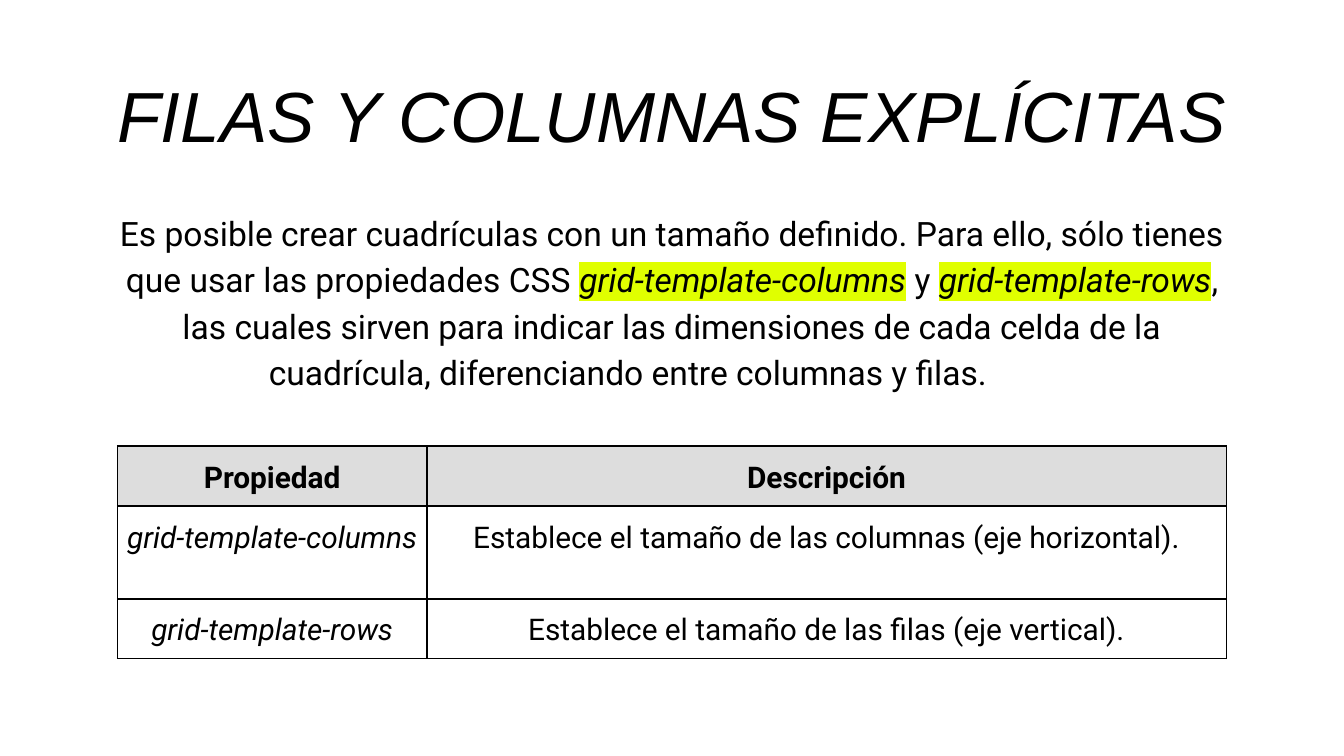
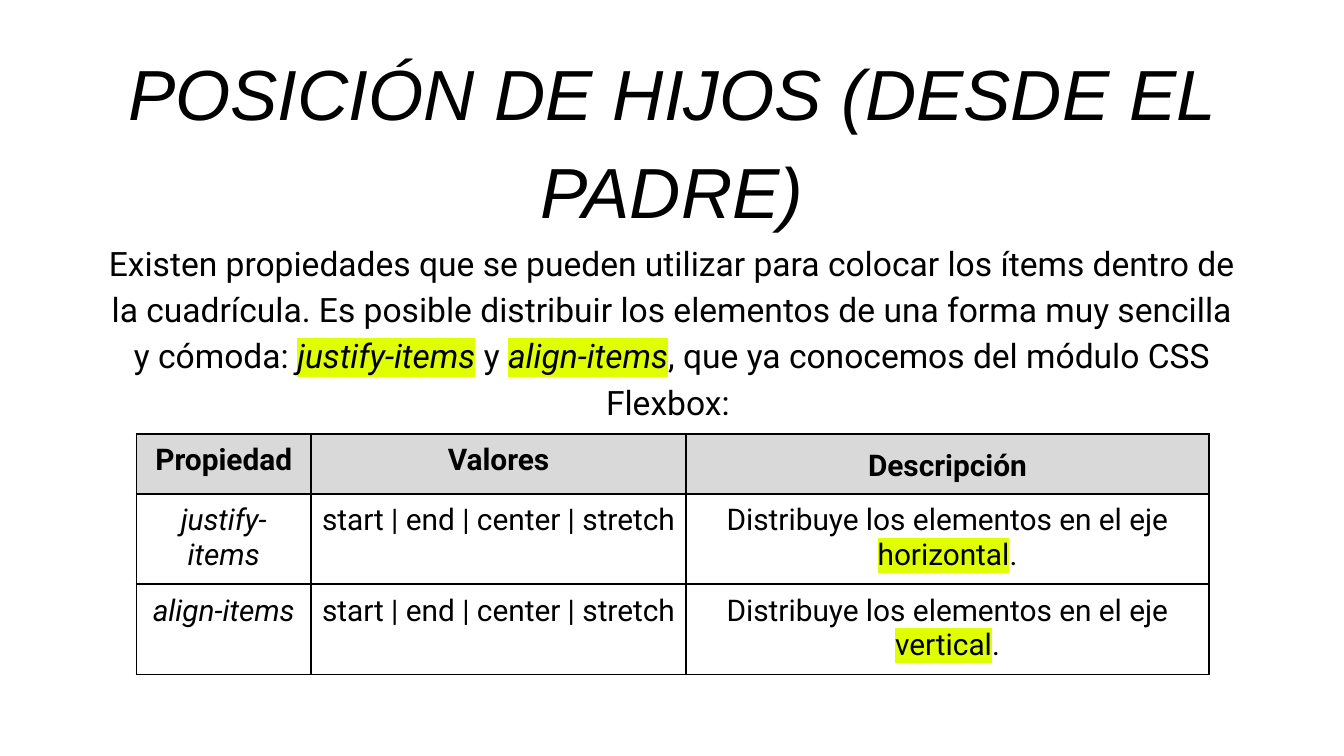
from lxml.etree import SubElement
from pptx import Presentation
from pptx.dml.color import RGBColor as RGB
from pptx.enum.text import PP_ALIGN as ALIGN
from pptx.oxml.ns import qn
from pptx.util import Pt

PX = 4572  # 200 px to the inch
COLORS = {"ink": "000000", "mark": "E0FF00", "paper": "FFFFFF"}
TITLE_FONT, BODY_FONT = "Arial", "Roboto"
BOX_INSET, CELL_INSET = 20 * PX, Pt(5)
TAB_STOP = 1200 * PX

# Text between asterisks is highlighted; rows grow to fit their text
SLIDES = [
    {
        "title": "FILAS Y COLUMNAS EXPLÍCITAS",
        "title_box": (141, 68, 1718, 152),
        "intro": "Es posible crear cuadrículas con un tamaño definido. Para ello, sólo "
                 "tienes que usar las propiedades CSS *grid-template-columns* y "
                 "*grid-template-rows*, las cuales sirven para indicar las dimensiones de "
                 "cada celda de la cuadrícula, diferenciando entre columnas y filas.\t",
        "intro_box": (141, 288, 1718, 344),
        "table_at": (175, 664),
        "columns": (460, 1190),
        "rows": (2, 138, 2),
        "header_fill": "DDDDDD",
        "spaced": lambda row, col: True,
        "cells": [
            ("Propiedad", "Descripción"),
            ("grid-template-columns", "Establece el tamaño de las columnas (eje horizontal)."),
            ("grid-template-rows", "Establece el tamaño de las filas (eje vertical)."),
        ],
    },
    {
        "title": "POSICIÓN DE HIJOS (DESDE EL PADRE)",
        "title_box": (141, 35, 1718, 234),
        "intro": "Existen propiedades que se pueden utilizar para colocar los ítems dentro "
                 "de la cuadrícula. Es posible distribuir los elementos de una forma muy "
                 "sencilla y cómoda: *justify-items* y *align-items*, que ya conocemos del "
                 "módulo CSS Flexbox: ",
        "intro_box": (141, 332, 1718, 260),
        "table_at": (203, 646),
        "columns": (260, 558, 778),
        "rows": (66, 2, 2),
        "header_fill": "D9D9D9",
        "spaced": lambda row, col: (row, col) == (0, 2),
        "cells": [
            ("Propiedad", "Valores", "Descripción"),
            ("justify-items", "start | end | center | stretch",
             "Distribuye los elementos en el eje *horizontal*."),
            ("align-items", "start | end | center | stretch",
             "Distribuye los elementos en el eje *vertical*."),
        ],
    },
]


def write(frame, text, font, size, bold=False, italic=False, mark_italic=False, spacing=1.15):
    """Fill a text frame with one centred paragraph."""
    frame.word_wrap = True
    para = frame.paragraphs[0]
    para.alignment, para.line_spacing = ALIGN.CENTER, spacing
    if "\t" in text:
        tabs = SubElement(para._p.get_or_add_pPr(), qn("a:tabLst"))
        SubElement(tabs, qn("a:tab"), pos=str(TAB_STOP), algn="l")
    para.font.name, para.font.size = font, Pt(size)
    para.font.bold, para.font.italic = bold, italic
    para.font.color.rgb = RGB.from_string(COLORS["ink"])
    for i, part in enumerate(text.split("*")):
        run = para.add_run()
        run.text = part
        if i % 2:
            if mark_italic:
                run.font.italic = True
            highlight = SubElement(run._r.get_or_add_rPr(), qn("a:highlight"))
            SubElement(highlight, qn("a:srgbClr"), val=COLORS["mark"])


def add_borders(cell):
    """Draw a 1 pt line on all four sides of a cell."""
    props = cell._tc.get_or_add_tcPr()
    for side in ("lnL", "lnR", "lnT", "lnB"):
        line = SubElement(props, qn(f"a:{side}"), w=str(Pt(1)))
        fill = SubElement(line, qn("a:solidFill"))
        SubElement(fill, qn("a:srgbClr"), val=COLORS["ink"])


prs = Presentation()
prs.slide_width, prs.slide_height = 2000 * PX, 1125 * PX

for content in SLIDES:
    slide = prs.slides.add_slide(prs.slide_layouts[6])
    slide.background.fill.solid()
    slide.background.fill.fore_color.rgb = RGB.from_string(COLORS["paper"])

    # Title and introduction
    for part, font, size, italic in (("title", TITLE_FONT, 38, True),
                                     ("intro", BODY_FONT, 18, False)):
        box = slide.shapes.add_textbox(*(v * PX for v in content[part + "_box"]))
        frame = box.text_frame
        frame.margin_left = frame.margin_right = BOX_INSET
        frame.margin_top = frame.margin_bottom = BOX_INSET
        write(frame, content[part], font, size, italic=italic, mark_italic=True)

    # Property table
    widths, heights = content["columns"], content["rows"]
    left, top = content["table_at"]
    table = slide.shapes.add_table(len(heights), len(widths), left * PX, top * PX,
                                   sum(widths) * PX, sum(heights) * PX).table
    table.first_row = table.horz_banding = False
    for column, width in zip(table.columns, widths):
        column.width = width * PX
    for row, height in zip(table.rows, heights):
        row.height = height * PX
    for r, texts in enumerate(content["cells"]):
        for c, text in enumerate(texts):
            cell = table.cell(r, c)
            cell.margin_left = cell.margin_right = CELL_INSET
            cell.margin_top = cell.margin_bottom = CELL_INSET
            add_borders(cell)
            if r == 0:
                cell.fill.solid()
                cell.fill.fore_color.rgb = RGB.from_string(content["header_fill"])
            else:
                cell.fill.background()
            write(cell.text_frame, text, BODY_FONT, 16, bold=r == 0, italic=r > 0 and c == 0,
                  spacing=1.15 if content["spaced"](r, c) else 1.0)

prs.save("out.pptx")
